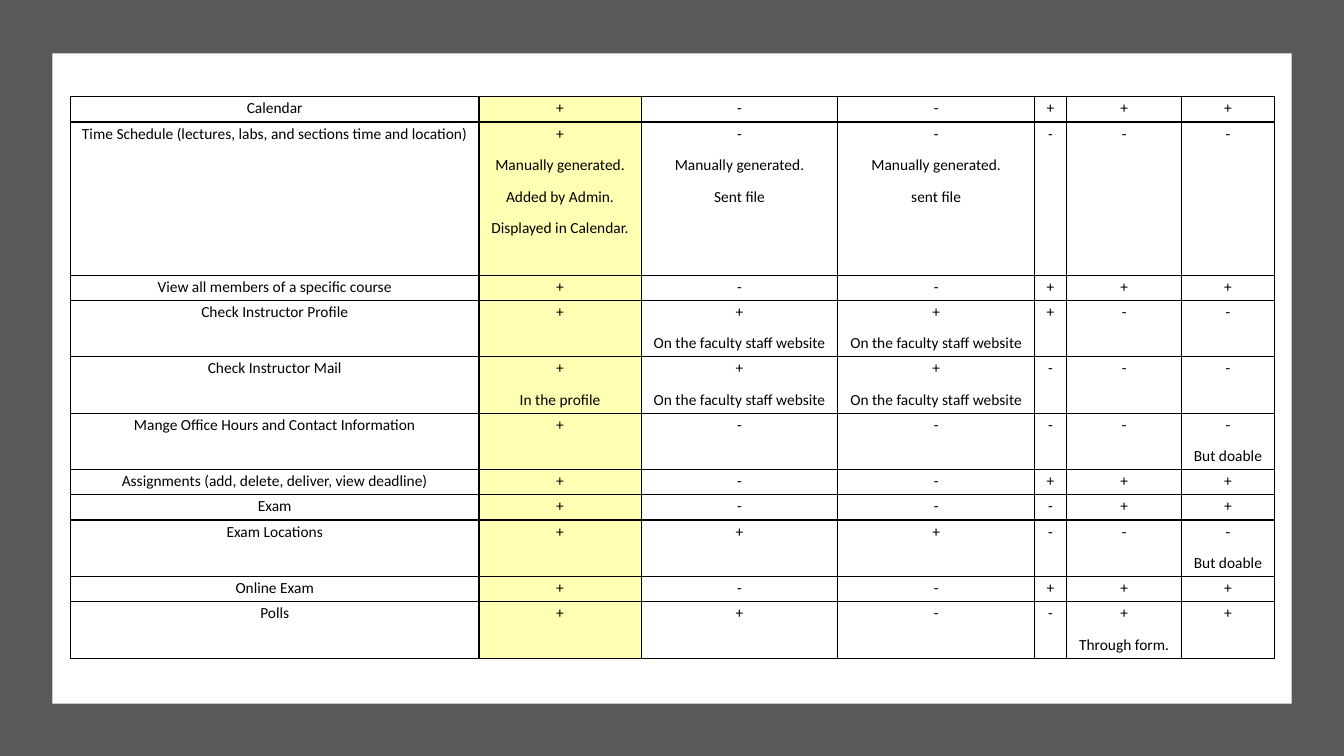
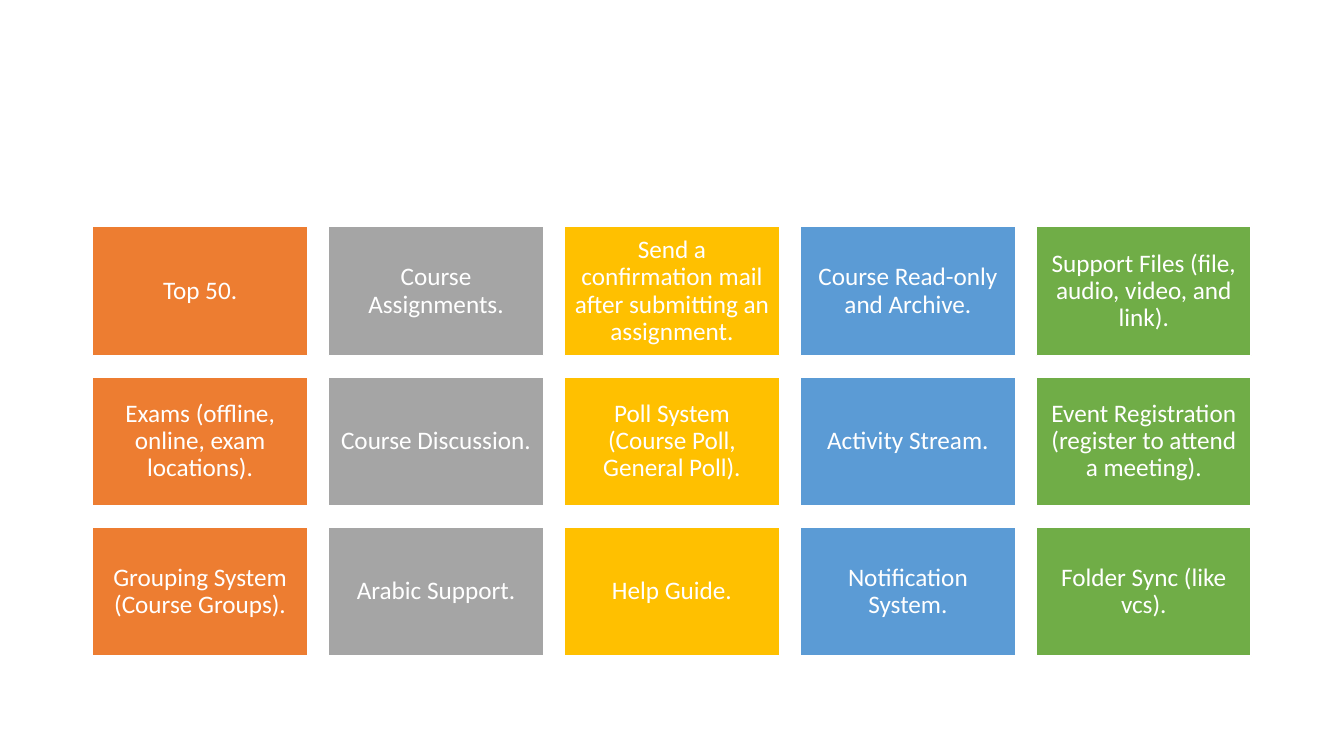
import itertools
from typing import NamedTuple

import pptx
import pptx.dml.color
import pptx.dml.fill
import pptx.enum.shapes
import pptx.enum.text
import pptx.oxml
import pptx.oxml.ns
import pptx.shapes.autoshape
import pptx.slide
import pptx.table
import pptx.text.text
import pptx.util

Inches = pptx.util.Inches
Pt = pptx.util.Pt

SLIDE_W, SLIDE_H = 13.33, 7.5
FONT = "Calibri"
BLACK, WHITE, BACKDROP, HIGHLIGHT = "000000", "FFFFFF", "595959", "FFFFB3"
BLANK_LAYOUT = 6


class Box(NamedTuple):
    left: float
    top: float
    width: float
    height: float


class TextStyle(NamedTuple):
    size: float
    color: str
    line_spacing: float
    space_after: float = 0


class Feature(NamedTuple):
    name: str
    marks: tuple[str, ...]


CELL_TEXT = TextStyle(11, BLACK, 1.07, 8)
TILE_TEXT = TextStyle(18, WHITE, 0.9)

TABLE_LEFT, TABLE_TOP = 0.7, 0.96
COLUMN_WIDTHS = (4.05, 1.61, 1.95, 1.95, 0.32, 1.14, 0.92)
HIGHLIGHT_COLUMN = 1
ROW_HEIGHTS = {1: 0.25, 2: 0.56, 4: 1.52}  # by number of text lines

STAFF_SITE = "+\nOn the faculty staff website"
DOABLE = "-\nBut doable"
FEATURES = (
    Feature("Calendar", ("+", "-", "-", "+", "+", "+")),
    Feature("Time Schedule (lectures, labs, and sections time and location)",
            ("+\nManually generated.\nAdded by Admin.\nDisplayed in Calendar.",
             "-\nManually generated.\nSent file",
             "-\nManually generated.\nsent file", "-", "-", "-")),
    Feature("View all members of a specific course", ("+", "-", "-", "+", "+", "+")),
    Feature("Check Instructor Profile", ("+", STAFF_SITE, STAFF_SITE, "+", "-", "-")),
    Feature("Check Instructor Mail",
            ("+\nIn the profile", STAFF_SITE, STAFF_SITE, "-", "-", "-")),
    Feature("Mange Office Hours and Contact Information",
            ("+", "-", "-", "-", "-", DOABLE)),
    Feature("Assignments (add, delete, deliver, view deadline)",
            ("+", "-", "-", "+", "+", "+")),
    Feature("Exam", ("+", "-", "-", "-", "+", "+")),
    Feature("Exam Locations", ("+", "+", "+", "-", "-", DOABLE)),
    Feature("Online Exam", ("+", "-", "-", "+", "+", "+")),
    Feature("Polls", ("+", "+", "-", "-", "+\nThrough form.", "+")),
)

FIRST_TILE = Box(0.92, 2.25, 2.13, 1.28)
TILE_GAP = 0.21
TILE_MARGIN = 0.08
TILE_COLORS = ("ED7D31", "A5A5A5", "FFC000", "5B9BD5", "70AD47")
TILE_ROWS = (
    ("Top 50.", "Course Assignments.",
     "Send a confirmation mail after submitting an assignment.",
     "Course Read-only and Archive.",
     "Support Files (file, audio, video, and link)."),
    ("Exams (offline, online, exam locations).", "Course Discussion.",
     "Poll System (Course Poll, General Poll).", "Activity Stream.",
     "Event Registration (register to attend a meeting)."),
    ("Grouping System (Course Groups).", "Arabic Support.", "Help Guide.",
     "Notification System.", "Folder Sync (like vcs)."),
)


def rgb(color: str) -> pptx.dml.color.RGBColor:
    return pptx.dml.color.RGBColor.from_string(color)


def set_fill(fill: pptx.dml.fill.FillFormat, color: str) -> None:
    fill.solid()
    fill.fore_color.rgb = rgb(color)


def write(tf: pptx.text.text.TextFrame, text: str, style: TextStyle) -> None:
    """Put centred text in a frame, one paragraph per line."""
    tf.text = text
    tf.word_wrap = True
    for p in tf.paragraphs:
        p.alignment = pptx.enum.text.PP_ALIGN.CENTER
        p.line_spacing = style.line_spacing
        p.space_after = Pt(style.space_after)
        for r in p.runs:
            r.font.name = FONT
            r.font.size = Pt(style.size)
            r.font.color.rgb = rgb(style.color)


def add_rect(slide: pptx.slide.Slide, box: Box,
             color: str) -> pptx.shapes.autoshape.Shape:
    sp = slide.shapes.add_shape(pptx.enum.shapes.MSO_SHAPE.RECTANGLE,
                                *(Inches(v) for v in box))
    sp.shadow.inherit = False
    set_fill(sp.fill, color)
    sp.line.fill.background()
    return sp


def set_borders(cell: pptx.table._Cell, color: str, width: float) -> None:
    tc_pr = cell._tc.get_or_add_tcPr()
    for index, side in enumerate("LRTB"):
        line = pptx.oxml.parse_xml(
            f'<a:ln{side} {pptx.oxml.ns.nsdecls("a")} w="{Pt(width)}">'
            f'<a:solidFill><a:srgbClr val="{color}"/></a:solidFill></a:ln{side}>')
        tc_pr.insert(index, line)


def fill_cell(cell: pptx.table._Cell, text: str, highlighted: bool) -> None:
    cell.margin_left = cell.margin_right = Inches(0.06)
    cell.margin_top, cell.margin_bottom = Inches(0.01), 0
    write(cell.text_frame, text, CELL_TEXT)
    if highlighted:
        set_fill(cell.fill, HIGHLIGHT)
    else:
        cell.fill.background()
    set_borders(cell, BLACK, 1)


def add_feature_table(slide: pptx.slide.Slide) -> None:
    texts = [(feature.name, *feature.marks) for feature in FEATURES]
    heights = [ROW_HEIGHTS[max(t.count("\n") + 1 for t in row)] for row in texts]
    table = slide.shapes.add_table(
        len(texts), len(COLUMN_WIDTHS), Inches(TABLE_LEFT), Inches(TABLE_TOP),
        Inches(sum(COLUMN_WIDTHS)), Inches(sum(heights))).table
    table.first_row = table.horz_banding = False
    for column, width in zip(table.columns, COLUMN_WIDTHS):
        column.width = Inches(width)
    for row, height, row_texts in zip(table.rows, heights, texts):
        row.height = Inches(height)
        for index, (cell, text) in enumerate(zip(row.cells, row_texts)):
            fill_cell(cell, text, index == HIGHLIGHT_COLUMN)


def add_tile(slide: pptx.slide.Slide, row: int, col: int) -> None:
    left, top, width, height = FIRST_TILE
    box = Box(left + col * (width + TILE_GAP), top + row * (height + TILE_GAP),
              width, height)
    sp = add_rect(slide, box, TILE_COLORS[col])
    sp.line.color.rgb = rgb(WHITE)
    sp.line.width = Pt(1)
    tf = sp.text_frame
    tf.margin_left = tf.margin_right = Inches(TILE_MARGIN)
    tf.margin_top = tf.margin_bottom = Inches(TILE_MARGIN)
    tf.vertical_anchor = pptx.enum.text.MSO_ANCHOR.MIDDLE
    write(tf, TILE_ROWS[row][col], TILE_TEXT)


def build_comparison(slide: pptx.slide.Slide) -> None:
    add_rect(slide, Box(0, 0, SLIDE_W, SLIDE_H), BACKDROP)
    add_rect(slide, Box(0.52, 0.53, 12.29, 6.45), WHITE)
    add_feature_table(slide)


def build_tiles(slide: pptx.slide.Slide) -> None:
    for row, col in itertools.product(range(len(TILE_ROWS)), range(len(TILE_COLORS))):
        add_tile(slide, row, col)


def main() -> None:
    prs = pptx.Presentation()
    prs.slide_width, prs.slide_height = Inches(SLIDE_W), Inches(SLIDE_H)
    for build in (build_comparison, build_tiles):
        build(prs.slides.add_slide(prs.slide_layouts[BLANK_LAYOUT]))
    prs.save("out.pptx")


if __name__ == "__main__":
    main()
